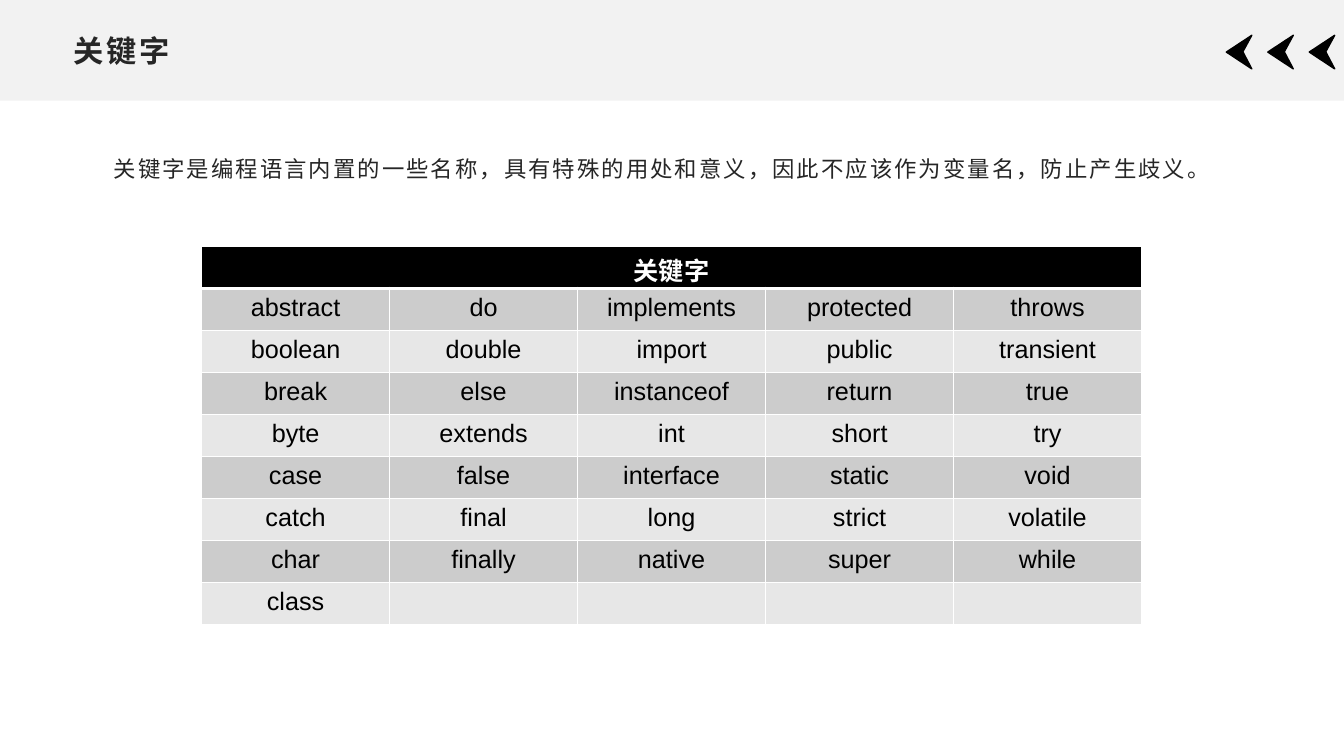
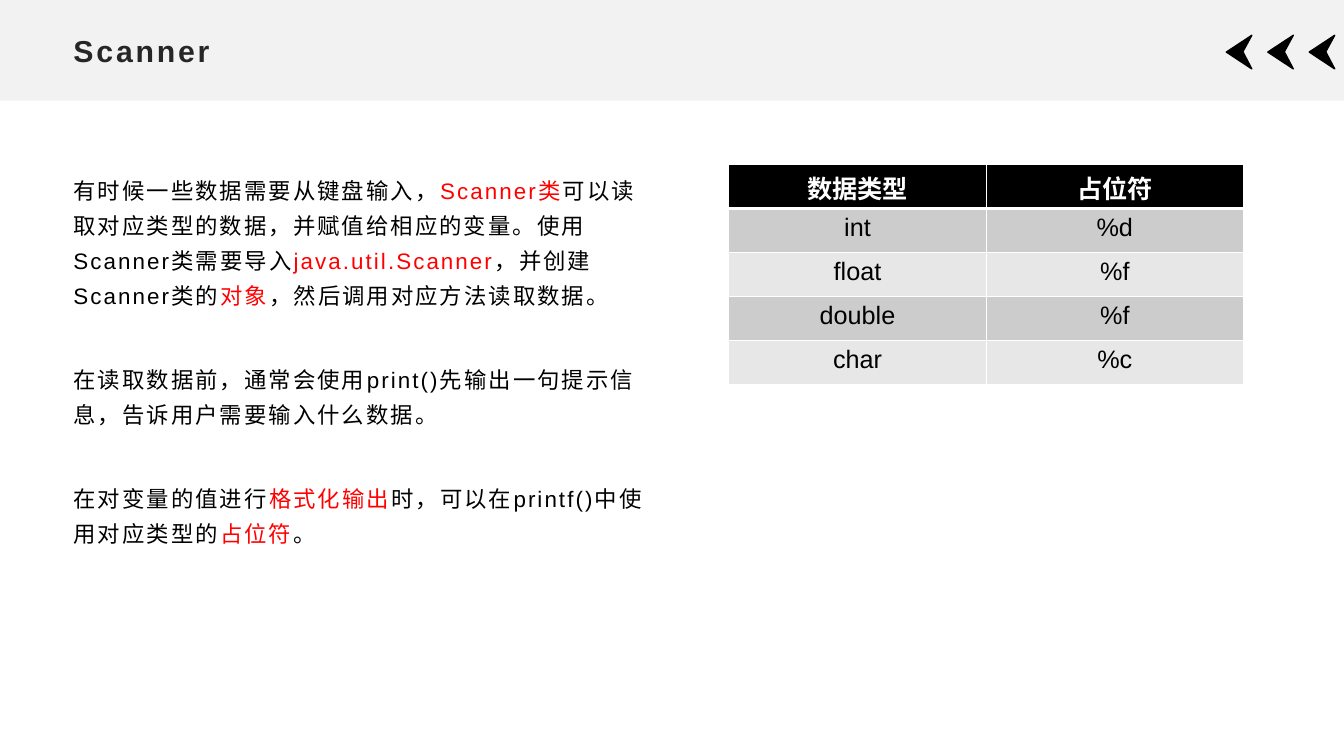
from lxml import etree
from pptx import Presentation
from pptx.dml.color import RGBColor
from pptx.enum.lang import MSO_LANGUAGE_ID
from pptx.enum.shapes import MSO_SHAPE
from pptx.enum.text import MSO_ANCHOR, PP_ALIGN
from pptx.oxml.ns import qn
from pptx.util import Pt

RECTANGLE = MSO_SHAPE.RECTANGLE
LEFT, CENTER = PP_ALIGN.LEFT, PP_ALIGN.CENTER
TOP, MIDDLE = MSO_ANCHOR.TOP, MSO_ANCHOR.MIDDLE
CHINESE = MSO_LANGUAGE_ID.SIMPLIFIED_CHINESE

FONT = "Arial"
COLORS = {
    "band": "F2F2F2",
    "title": "262626",
    "black": "000000",
    "white": "FFFFFF",
    "red": "FF0000",
    "odd_row": "CCCCCC",
    "even_row": "E7E7E7",
}
SLIDE_WIDTH, SLIDE_HEIGHT = 960, 540
BAND_HEIGHT = 72
CHEVRON_COUNT, CHEVRON_PITCH = 3, 29.6
CHEVRON_OUTLINE = [(894.2, 49.2), (876, 37.2), (894.2, 25.2), (887.8, 37)]

# A paragraph is a list of runs; a run is plain text or (text, color).
SLIDES = [
    {
        "title": "关键字",
        "body": {
            "box": (74.2, 101.5, 812, 45.4),
            "color": "title",
            "paragraphs": [
                ["关键字是编程语言内置的一些名称，具有特殊的用处和意义，"
                 "因此不应该作为变量名，防止产生歧义。"],
            ],
        },
        "table": {
            "position": (144, 176),
            "column_width": 134.3,
            "row_height": 30,
            "header": ["关键字"],
            "rows": [
                ["abstract", "do", "implements", "protected", "throws"],
                ["boolean", "double", "import", "public", "transient"],
                ["break", "else", "instanceof", "return", "true"],
                ["byte", "extends", "int", "short", "try"],
                ["case", "false", "interface", "static", "void"],
                ["catch", "final", "long", "strict", "volatile"],
                ["char", "finally", "native", "super", "while"],
                ["class", "", "", "", ""],
            ],
        },
    },
    {
        "title": "Scanner",
        "body": {
            "box": (45.4, 117.5, 428, 281.5),
            "color": "black",
            "paragraphs": [
                ["有时候一些数据需要从键盘输入，", ("Scanner类", "red"),
                 "可以读取对应类型的数据，并赋值给相应的变量。使用Scanner类需要导入",
                 ("java.util.Scanner", "red"), "，并创建Scanner类的",
                 ("对象", "red"), "，然后调用对应方法读取数据。"],
                ["在读取数据前，通常会使用print()先输出一句提示信息，"
                 "告诉用户需要输入什么数据。"],
                ["在对变量的值进行", ("格式化输出", "red"),
                 "时，可以在printf()中使用对应类型的", ("占位符", "red"), "。"],
            ],
        },
        "table": {
            "position": (520.6, 117.5),
            "column_width": 183.8,
            "row_height": 31.5,
            "header": ["数据类型", "占位符"],
            "rows": [["int", "%d"], ["float", "%f"], ["double", "%f"], ["char", "%c"]],
        },
    },
]


def rgb(name):
    return RGBColor.from_string(COLORS[name])


def paint(shape, color, line=None):
    shape.shadow.inherit = False
    shape.fill.solid()
    shape.fill.fore_color.rgb = rgb(color)
    if line:
        shape.line.color.rgb = rgb(line)
        shape.line.width = Pt(1)
    else:
        shape.line.fill.background()


def write_text(text_frame, paragraphs, *, size, color, bold=False, spacing=0,
               align=LEFT, line_spacing=1, gap_before=0, gap_after=0):
    """Fill the frame; gap_before applies between paragraphs only."""
    for index, runs in enumerate(paragraphs):
        paragraph = text_frame.add_paragraph() if index else text_frame.paragraphs[0]
        paragraph.alignment = align
        paragraph.line_spacing = line_spacing
        paragraph.space_before = Pt(gap_before if index else 0)
        paragraph.space_after = Pt(gap_after)
        for item in runs:
            text, run_color = (item, color) if isinstance(item, str) else item
            run = paragraph.add_run()
            run.text = text
            font = run.font
            font.name, font.size, font.bold = FONT, Pt(size), bold
            font.color.rgb = rgb(run_color)
            font.language_id = CHINESE
            if spacing:
                run._r.get_or_add_rPr().set("spc", str(int(spacing * 100)))


def add_text_box(slide, box, paragraphs, anchor=TOP, **text_format):
    text_frame = slide.shapes.add_textbox(*map(Pt, box)).text_frame
    text_frame.word_wrap = True
    text_frame.vertical_anchor = anchor
    write_text(text_frame, paragraphs, **text_format)


def add_header(slide, title):
    band = slide.shapes.add_shape(RECTANGLE, 0, 0, Pt(SLIDE_WIDTH), Pt(BAND_HEIGHT))
    paint(band, "band")
    for index in range(CHEVRON_COUNT):
        start, *corners = [(Pt(x + index * CHEVRON_PITCH), Pt(y))
                           for x, y in CHEVRON_OUTLINE]
        builder = slide.shapes.build_freeform(*start)
        builder.add_line_segments(corners, close=True)
        paint(builder.convert_to_shape(), "black", line="black")
    add_text_box(slide, (45.4, 18.7, 869, 34.6), [[title]], MIDDLE,
                 size=21.6, color="title", bold=True, spacing=2)


def set_borders(cell, **widths):
    """Draw white borders, 1 pt wide unless a width is given for L, R, T or B."""
    properties = cell._tc.get_or_add_tcPr()
    for side in "LRTB":
        line = etree.SubElement(properties, qn(f"a:ln{side}"),
                                w=str(Pt(widths.get(side, 1))))
        fill = etree.SubElement(line, qn("a:solidFill"))
        etree.SubElement(fill, qn("a:srgbClr"), val=COLORS["white"])


def add_keyword_table(slide, position, column_width, row_height, header, rows):
    column_count = len(rows[0])
    padded_header = header + [""] * (column_count - len(header))
    grid = [padded_header] + rows
    left, top = position
    table = slide.shapes.add_table(
        len(grid), column_count, Pt(left), Pt(top),
        Pt(column_width * column_count), Pt(row_height * len(grid))).table
    table.first_row = table.horz_banding = False
    for column in table.columns:
        column.width = Pt(column_width)
    for row_index, values in enumerate(grid):
        table.rows[row_index].height = Pt(row_height)
        is_header = row_index == 0
        row_fill = "black" if is_header else ("even_row", "odd_row")[row_index % 2]
        for column_index, value in enumerate(values):
            cell = table.cell(row_index, column_index)
            set_borders(cell, T=3 if row_index == 1 else 1, B=3 if is_header else 1)
            cell.fill.solid()
            cell.fill.fore_color.rgb = rgb(row_fill)
            if value:
                write_text(cell.text_frame, [[value]], size=18, bold=is_header,
                           color="white" if is_header else "black", align=CENTER)
    if len(header) < column_count:
        table.cell(0, len(header) - 1).merge(table.cell(0, column_count - 1))


def main():
    presentation = Presentation()
    presentation.slide_width = Pt(SLIDE_WIDTH)
    presentation.slide_height = Pt(SLIDE_HEIGHT)
    blank_layout = presentation.slide_layouts[6]
    for content in SLIDES:
        slide = presentation.slides.add_slide(blank_layout)
        add_header(slide, content["title"])
        body = content["body"]
        add_text_box(slide, body["box"], body["paragraphs"], size=16,
                     color=body["color"], spacing=1.5, line_spacing=1.3,
                     gap_before=25, gap_after=10)
        add_keyword_table(slide, **content["table"])
    presentation.save("out.pptx")


if __name__ == "__main__":
    main()
